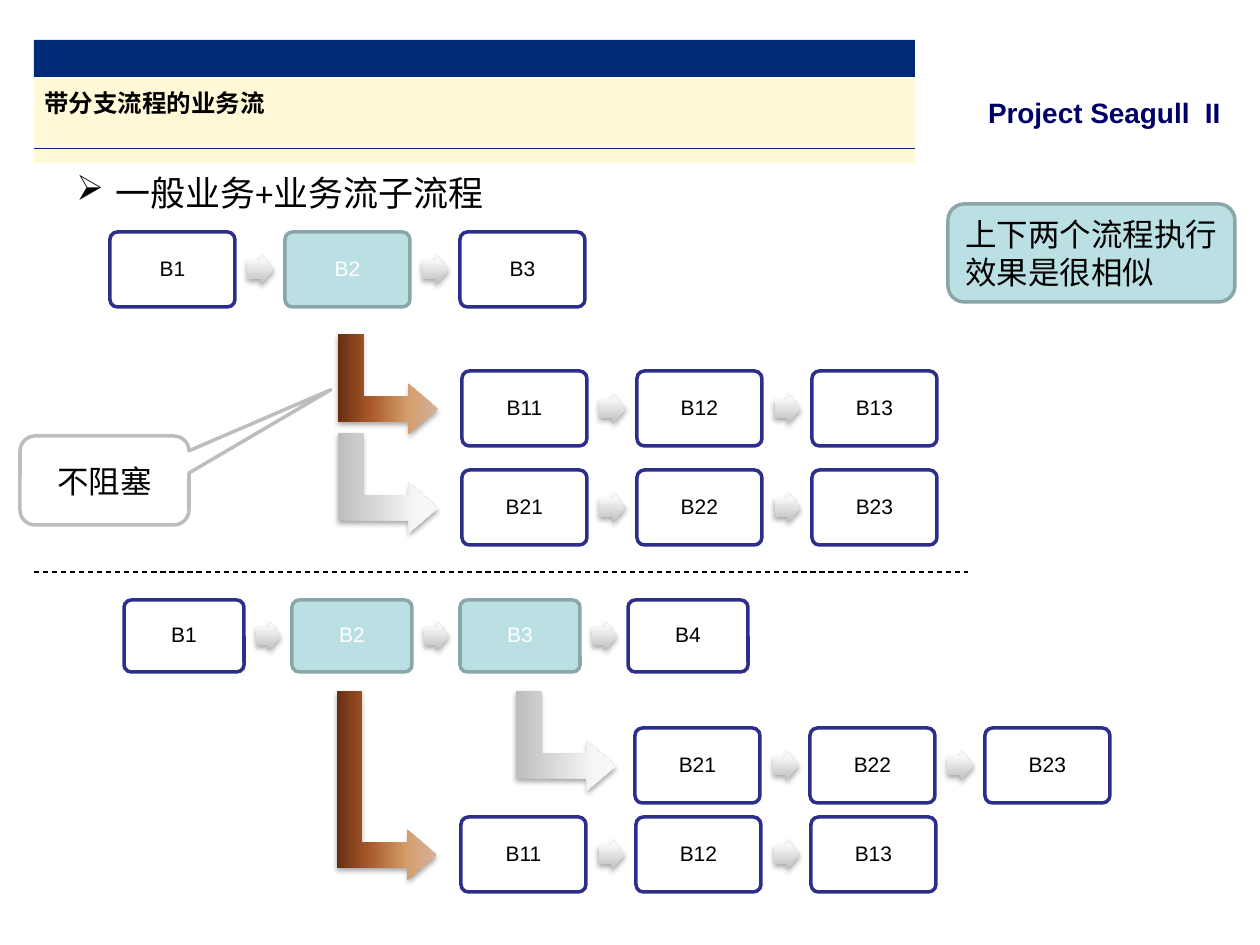
from dataclasses import dataclass

from lxml import etree
from pptx import Presentation
from pptx import util as u
from pptx.dml.color import RGBColor
from pptx.enum import dml, shapes, text
from pptx.oxml import ns, parse_xml

PX = 914400 / 126
KIND = shapes.MSO_SHAPE
ALIGN = text.PP_ALIGN
ANCHOR = text.MSO_ANCHOR


@dataclass(frozen=True)
class Theme:
    """Colours, fonts and type sizes of the slide."""
    navy: str = "002978"
    cream: str = "FFF9D7"
    brand: str = "000066"
    step_edge: str = "2D2D8A"
    branch: str = "BBE0E3"
    branch_edge: str = "8AA6A8"
    callout_edge: str = "BDBDBD"
    white: str = "FFFFFF"
    black: str = "000000"
    silver: tuple = (270, (0, "BEBEBE"), (80, "F7F7F7"), (100, "F8F8F8"))
    brown: tuple = (90, (0, "D6B19C"), (30, "D49E6C"), (70, "A65528"), (100, "663012"))
    latin: str = "Arial"
    body: str = "Calibri"
    cjk: str = "Noto Sans CJK SC"
    step_size: int = 12
    title_size: int = 14
    brand_size: int = 16
    note_size: int = 18
    body_size: int = 20


def px(*lengths):
    """Turn px into EMU."""
    return [u.Emu(round(length * PX)) for length in lengths]


class FlowSlide:
    """Draws the parts of a branching flow on one slide."""

    def __init__(self, slide, theme):
        """Keep the slide and its style."""
        self.slide = slide
        self.theme = theme

    def put_words(self, frame, words, size, color=None, font=None, bold=False,
                  align=ALIGN.LEFT, anchor=ANCHOR.TOP, insets=None, bullet=None):
        """Put one paragraph into a text frame."""
        frame.word_wrap = True
        frame.auto_size = text.MSO_AUTO_SIZE.NONE
        frame.vertical_anchor = anchor
        if insets:
            (frame.margin_left, frame.margin_top,
             frame.margin_right, frame.margin_bottom) = px(*insets)
        line = frame.paragraphs[0]
        line.alignment = align
        if bullet:
            props = line._p.get_or_add_pPr()
            indent = px(39)[0]
            props.set("marL", str(indent))
            props.set("indent", str(-indent))
            etree.SubElement(props, ns.qn("a:buChar")).set("char", bullet)
        run = line.add_run()
        run.text = words
        run.font.size = u.Pt(size)
        run.font.bold = bold
        run.font.name = font or self.theme.latin
        run.font.color.rgb = RGBColor.from_string(color or self.theme.black)
        east_asian = etree.SubElement(run._r.get_or_add_rPr(), ns.qn("a:ea"))
        east_asian.set("typeface", self.theme.cjk)
        return line

    def title(self, box, words):
        """Place the title on its cream band."""
        band = self.slide.shapes.title
        band.left, band.top, band.width, band.height = px(*box)
        band.fill.solid()
        band.fill.fore_color.rgb = RGBColor.from_string(self.theme.cream)
        self.put_words(band.text_frame, words, self.theme.title_size, font=self.theme.cjk,
                       bold=True, anchor=ANCHOR.MIDDLE, insets=(10, 0, 0, 0))

    def label(self, box, words, size, **style):
        """Add free text."""
        frame = self.slide.shapes.add_textbox(*px(*box)).text_frame
        self.put_words(frame, words, size, **style)

    def block(self, kind, box, fill, edge=None, adjust=()):
        """Add a flat shape with an optional outline."""
        shape = self.slide.shapes.add_shape(kind, *px(*box))
        shape.shadow.inherit = False
        shape.fill.solid()
        shape.fill.fore_color.rgb = RGBColor.from_string(fill)
        if edge:
            shape.line.color.rgb = RGBColor.from_string(edge)
            shape.line.width = u.Pt(2)
        else:
            shape.line.fill.background()
        for index, value in enumerate(adjust):
            shape.adjustments[index] = value
        return shape

    def arrow(self, kind, box, gradient, adjust, turn=0):
        """Add a block arrow with a gradient and a soft shadow."""
        shape = self.block(kind, box, self.theme.white, adjust=adjust)
        shape.rotation = turn
        angle, *stops = gradient
        marks = "".join(f'<a:gs pos="{at * 1000}"><a:srgbClr val="{color}"/></a:gs>'
                        for at, color in stops)
        props = shape._element.spPr
        props.replace(props.find(ns.qn("a:solidFill")), parse_xml(
            f'<a:gradFill {ns.nsdecls("a")} rotWithShape="1"><a:gsLst>{marks}</a:gsLst>'
            f'<a:lin ang="{angle * 60000}" scaled="0"/></a:gradFill>'))
        props.find(ns.qn("a:effectLst")).append(parse_xml(
            f'<a:outerShdw {ns.nsdecls("a")} blurRad="40000" dist="23000" dir="5400000" '
            f'rotWithShape="0"><a:srgbClr val="{self.theme.black}">'
            '<a:alpha val="35000"/></a:srgbClr></a:outerShdw>'))

    def elbow(self, left, top, width, height, gradient):
        """Add a branch arrow that runs down and then right."""
        shift = (height - width) / 2
        self.arrow(KIND.BENT_UP_ARROW, (left - shift, top + shift, height, width),
                   gradient, (0.25, 0.25, 0.295), turn=90)

    def chain(self, left, top, steps, branching=(), width=125):
        """Add a row of steps joined by arrows."""
        theme = self.theme
        height, pitch = width * 0.6, width * 1.4
        arrow_width, arrow_height = width * 0.21, width * 0.25
        for index, step in enumerate(steps):
            x = left + index * pitch
            fill, edge, ink = ((theme.branch, theme.branch_edge, theme.white)
                               if step in branching
                               else (theme.white, theme.step_edge, theme.black))
            if index:
                self.arrow(KIND.RIGHT_ARROW,
                           (x - width * 0.3, top + (height - arrow_height) / 2,
                            arrow_width, arrow_height), theme.silver, (0.6, 0.5))
            box = self.block(KIND.ROUNDED_RECTANGLE, (x, top, width, height),
                             fill, edge, (0.1,))
            line = self.put_words(box.text_frame, step, theme.step_size, ink,
                                  align=ALIGN.CENTER, anchor=ANCHOR.MIDDLE,
                                  insets=(6, 6, 6, 6))
            line.line_spacing = 0.9

    def rule(self, left, right, y, color, weight, dash=None):
        """Add a horizontal line."""
        line = self.slide.shapes.add_connector(
            shapes.MSO_CONNECTOR.STRAIGHT, *px(left, y, right, y))
        line.line.color.rgb = RGBColor.from_string(color)
        line.line.width = u.Pt(weight)
        if dash:
            line.line.dash_style = dash
        etree.SubElement(line._element.spPr, ns.qn("a:effectLst"))


def main():
    """Build the slide and save it."""
    deck = Presentation()
    deck.slide_width, deck.slide_height = px(1260, 945)
    theme = Theme()
    flow = FlowSlide(deck.slides.add_slide(deck.slide_layouts[5]), theme)

    flow.label((988, 96, 248, 39), "Project Seagull  II", theme.brand_size,
               color=theme.brand, bold=True, insets=(0, 0, 0, 0))
    flow.block(KIND.RECTANGLE, (34, 40, 881, 37), theme.navy)
    flow.title((34, 78, 881, 49), "带分支流程的业务流")
    flow.block(KIND.RECTANGLE, (34, 127, 881, 36), theme.cream)
    flow.rule(34, 915, 148, theme.navy, 0.25)
    flow.label((64, 165, 973, 55), "一般业务+业务流子流程", theme.body_size,
               font=theme.body, bullet="➢")

    flow.chain(110, 232, ("B1", "B2", "B3"), branching=("B2",))
    flow.chain(462, 371, ("B11", "B12", "B13"))
    flow.elbow(338, 334, 100, 100, theme.brown)
    note = flow.block(KIND.ROUNDED_RECTANGLE, (948, 204, 287, 98),
                      theme.branch, theme.branch_edge)
    flow.put_words(note.text_frame, "上下两个流程执行效果是很相似", theme.note_size)
    flow.chain(462, 470, ("B21", "B22", "B23"))
    flow.elbow(338, 433, 100, 100, theme.silver)
    callout = flow.block(KIND.ROUNDED_RECTANGULAR_CALLOUT, (20, 436, 169, 89),
                         theme.white, theme.callout_edge, (1.34, -1.02, 0.17))
    flow.put_words(callout.text_frame, "不阻塞", theme.note_size,
                   align=ALIGN.CENTER, anchor=ANCHOR.MIDDLE)

    flow.rule(34, 968, 572, theme.black, 0.75, dml.MSO_LINE.DASH)
    flow.chain(124, 600, ("B1", "B2", "B3", "B4"), branching=("B2", "B3"), width=120)
    flow.chain(461, 817, ("B11", "B12", "B13"))
    flow.elbow(337, 691, 100, 189, theme.brown)
    flow.chain(635, 728, ("B21", "B22", "B23"))
    flow.elbow(516, 691, 100, 100, theme.silver)

    deck.save("out.pptx")


if __name__ == "__main__":
    main()
